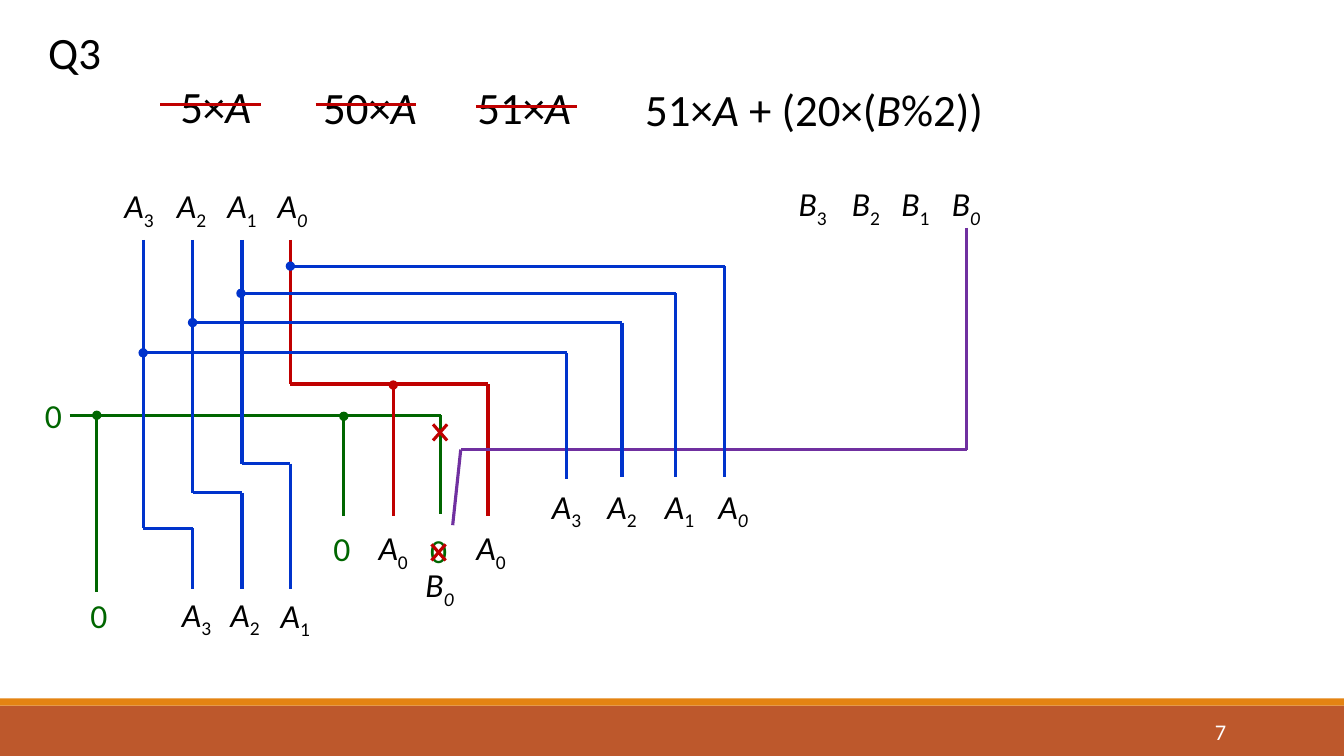
import pptx
import pptx.util
import pptx.dml.color
import pptx.enum.shapes
import pptx.enum.text
import pptx.oxml
import pptx.oxml.ns
from pptx.util import Inches

THEME = {
    "font": "Calibri", "big": 32, "mid": 24, "page": 16, "wire": 2.25,
    "black": "000000", "white": "FFFFFF", "green": "006600", "red": "C00000",
    "blue": "0033CC", "purple": "7030A0", "rust": "BD582C", "orange": "E48312",
}

# Content: runs are (text, style), i = italic, s = subscript
BARS = [("rust", 7, 0.5), ("orange", 6.93, 0.07)]
TERMS = [  # left, top, width, runs
    (1.4, 0.73, 1.48, [("5×", ""), ("A", "i")]),
    (2.93, 0.74, 1.48, [("50×", ""), ("A", "i")]),
    (4.46, 0.74, 1.48, [("51×", ""), ("A", "i")]),
    (6.05, 0.76, 4.15, [("51×", ""), ("A ", "i"), ("+ (20×(", ""),
                        ("B", "i"), ("%2)) ", "")]),
]
BITS = [  # letter, digit, digit style, centre, top
    ("A", "3", "s", 1.38, 1.79), ("A", "2", "s", 1.9, 1.79),
    ("A", "1", "s", 2.4, 1.79), ("A", "0", "is", 2.9, 1.79),
    ("B", "3", "s", 8.06, 1.77), ("B", "2", "s", 8.59, 1.77),
    ("B", "1", "s", 9.08, 1.77), ("B", "0", "is", 9.58, 1.77),
    ("A", "3", "s", 1.95, 5.84), ("A", "2", "s", 2.43, 5.84),
    ("A", "1", "s", 2.93, 5.85),
    ("A", "0", "s", 3.9, 5.18), ("A", "0", "s", 4.87, 5.18),
    ("A", "3", "s", 5.62, 4.77), ("A", "2", "s", 6.17, 4.77),
    ("A", "1", "s", 6.74, 4.77), ("A", "0", "is", 7.27, 4.77),
    ("B", "0", "is", 4.36, 5.55),
]
ZEROS = [(0.53, 3.87), (3.39, 5.19), (4.35, 5.21), (0.98, 5.85)]

# Wires: colour, dot at the start, then the corners
WIRES = [
    ("green", False, [(0.69, 4.12), (4.37, 4.12), (4.37, 5.1)]),
    ("green", True, [(3.41, 4.13), (3.41, 5.12)]),
    ("green", True, [(0.96, 4.12), (0.96, 5.87)]),
    ("red", False, [(2.88, 2.38), (2.88, 3.81), (4.84, 3.81), (4.84, 5.12)]),
    ("red", True, [(3.9, 3.82), (3.9, 5.12)]),
    ("purple", False, [(9.59, 2.26), (9.59, 4.46), (4.57, 4.46), (4.49, 5.21)]),
]
SHIFTS = [(1.42, 5.24, 1.91), (1.91, 4.89, 2.4), (2.4, 4.6, 2.88)]
TAPS = [(2.88, 2.64, 7.19, 4.73), (2.39, 2.91, 6.7, 4.73),
        (1.91, 3.2, 6.17, 4.73), (1.42, 3.5, 5.62, 4.75)]
STRIKES = [(1.59, 1.04), (3.13, 1.04), (4.72, 1.06)]
CROSSES = [(4.365, 4.29), (4.35, 5.48)]

deck = pptx.Presentation()
deck.slide_width, deck.slide_height = Inches(13.33), Inches(7.5)
slide = deck.slides.add_slide(deck.slide_layouts[6])
shapes = slide.shapes


def paint(name):
    return pptx.dml.color.RGBColor.from_string(THEME[name])


def write(runs, left, top, width, height=0.5, size="mid", color="black",
          align="CENTER", anchor="TOP", space=None):
    box = shapes.add_textbox(*map(Inches, (left, top, width, height)))
    frame = box.text_frame
    frame.word_wrap = True
    frame.vertical_anchor = getattr(pptx.enum.text.MSO_ANCHOR, anchor)
    para = frame.paragraphs[0]
    para.alignment = getattr(pptx.enum.text.PP_ALIGN, align)
    if space:
        para.line_spacing = space
    for text, style in runs:
        run = para.add_run()
        run.text = text
        font = run.font
        font.name, font.size = THEME["font"], pptx.util.Pt(THEME[size])
        font.color.rgb = paint(color)
        font.italic = "i" in style
        if "s" in style:
            run._r.get_or_add_rPr().set("baseline", "-25000")


def wire(color, dot, points):
    for step, (a, b) in enumerate(zip(points, points[1:])):
        line = shapes.add_connector(pptx.enum.shapes.MSO_CONNECTOR.STRAIGHT,
                                    *map(Inches, (*a, *b)))
        line.line.width = pptx.util.Pt(THEME["wire"])
        line.line.color.rgb = paint(color)
        if dot and step == 0:
            head = pptx.oxml.parse_xml(
                "<a:headEnd %s type='oval'/>" % pptx.oxml.ns.nsdecls("a"))
            line.line._get_or_add_ln().append(head)
        line._element.spPr.append(pptx.oxml.parse_xml(
            "<a:effectLst %s/>" % pptx.oxml.ns.nsdecls("a")))


# Footer
for color, top, height in BARS:
    bar = shapes.add_shape(pptx.enum.shapes.MSO_SHAPE.RECTANGLE, 0, Inches(top),
                           deck.slide_width, Inches(height))
    bar.shadow.inherit = False
    bar.fill.solid()
    bar.fill.fore_color.rgb = paint(color)
    bar.line.fill.background()
write([("7", "")], 10.83, 7.06, 1.43, 0.4, size="page", color="white",
      align="RIGHT", anchor="MIDDLE")

# Title and terms
write([("Q3", "")], 0.38, 0.26, 0.99, 0.63, size="big", align="LEFT", space=0.9)
for left, top, width, runs in TERMS:
    write(runs, left, top, width, 0.64, size="big")

# Bit labels
for letter, digit, style, mid, top in BITS:
    write([(letter, "i"), (digit, style)], mid - 0.33, top, 0.66)
for mid, top in ZEROS:
    write([("0", "")], mid - 0.26, top, 0.52, color="green")

# Circuit
for color, dot, points in WIRES:
    wire(color, dot, points)
for x, y, end in SHIFTS:
    wire("blue", False, [(x, 2.38), (x, y), (end, y), (end, 5.84)])
for x, y, end, foot in TAPS:
    wire("blue", True, [(x, y), (end, y), (end, foot)])

# Strikes and crosses
for x, y in STRIKES:
    wire("red", False, [(x, y), (x + 1, y)])
for x, y in CROSSES:
    for tilt in (0.08, -0.08):
        wire("red", False, [(x + 0.07, y - tilt), (x - 0.07, y + tilt)])

deck.save("out.pptx")
